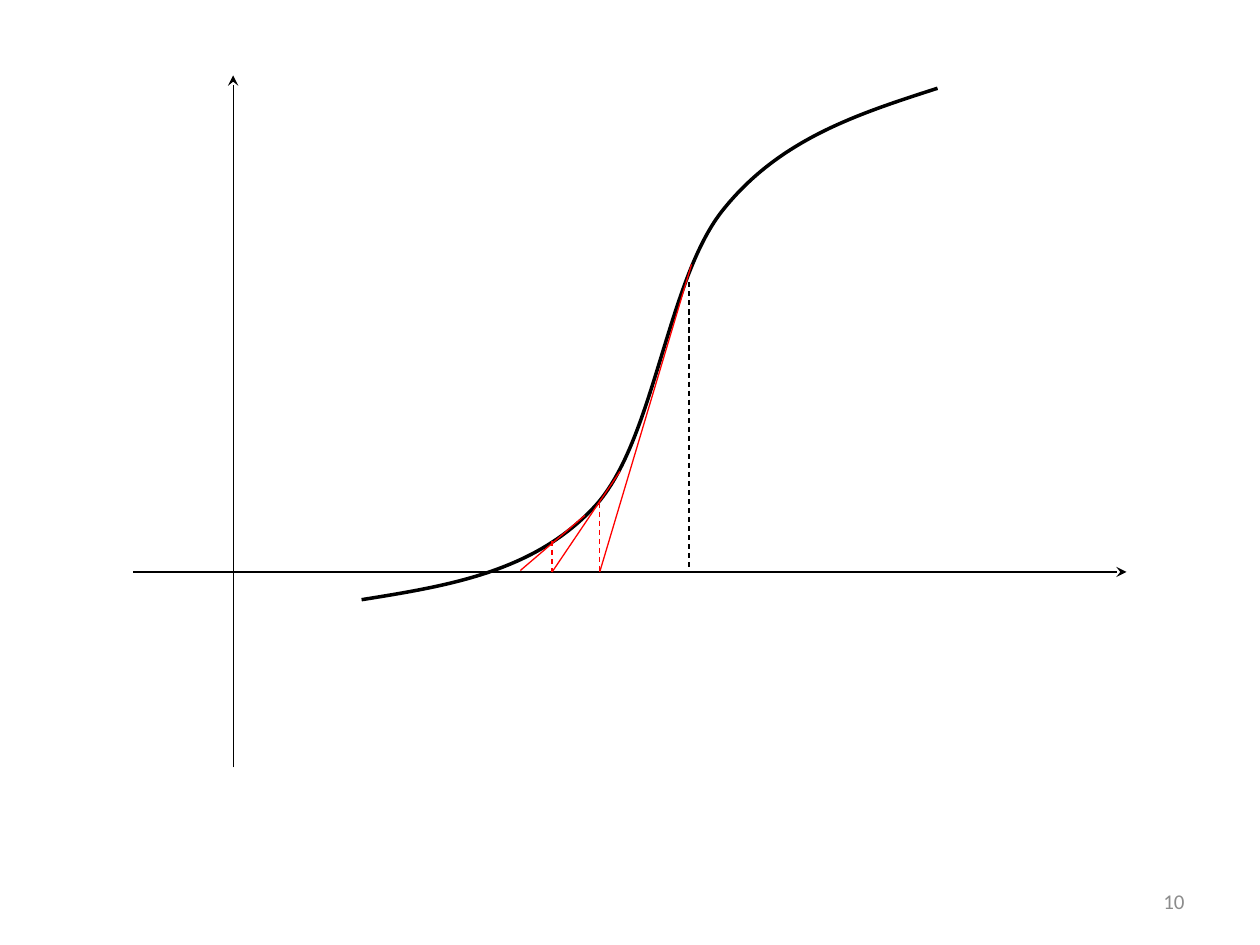
from dataclasses import dataclass

from lxml import etree
from pptx import Presentation
from pptx import util as u
from pptx.dml.color import RGBColor
from pptx.enum import dml, shapes, text
from pptx.oxml import ns


@dataclass
class Theme:
    ink: RGBColor = RGBColor(0x00, 0x00, 0x00)
    tangent: RGBColor = RGBColor(0xFF, 0x00, 0x00)
    muted: RGBColor = RGBColor(0x8C, 0x8C, 0x8C)
    font: str = "Calibri"
    number_size: u.Pt = u.Pt(12)
    thin: u.Pt = u.Pt(0.75)
    thick: u.Pt = u.Pt(2)


theme = Theme()
prs = Presentation()
prs.slide_width, prs.slide_height = u.Cm(25.4), u.Cm(19.05)
slide = prs.slides.add_slide(prs.slide_layouts[6])


def draw_line(start, end, color, dashed=False, arrow=False):
    """Draw a thin straight line between two points given in centimetres."""
    segment = slide.shapes.add_connector(
        shapes.MSO_CONNECTOR.STRAIGHT, *[u.Cm(v) for v in start + end])
    segment.line.color.rgb = color
    segment.line.width = theme.thin
    if dashed:
        segment.line.dash_style = dml.MSO_LINE.DASH
    if arrow:
        etree.SubElement(segment.line._get_or_add_ln(),
                         ns.qn("a:tailEnd"), type="stealth")
    etree.SubElement(segment._element.spPr, ns.qn("a:effectLst"))


# Page number
page_number = slide.shapes.add_textbox(u.Cm(18.2), u.Cm(17.66), u.Cm(5.93), u.Cm(1.01))
frame = page_number.text_frame
frame.word_wrap = True
frame.vertical_anchor = text.MSO_ANCHOR.MIDDLE
frame.paragraphs[0].alignment = text.PP_ALIGN.RIGHT
run = frame.paragraphs[0].add_run()
run.text = "10"
run.font.name = theme.font
run.font.size = theme.number_size
run.font.color.rgb = theme.muted

# Axes, and the starting guess dropped to the x axis
axis_y = 11.53
draw_line((2.69, axis_y), (22.71, axis_y), theme.ink, arrow=True)
draw_line((4.7, 15.47), (4.7, 1.52), theme.ink, arrow=True)
draw_line((13.89, 5.69), (13.89, axis_y), theme.ink, dashed=True)

# Function curve: a start point, then three Bezier points per segment
curve_points = [
    (7.29, 12.09),
    (9.04, 11.81), (10.77, 11.53), (11.99, 10.21),
    (13.21, 8.89), (13.44, 5.59), (14.61, 4.19),
    (15.75, 2.79), (17.32, 2.29), (18.9, 1.78),
]
start, *controls = [(u.Cm(x), u.Cm(y)) for x, y in curve_points]
builder = slide.shapes.build_freeform(*start)
builder.add_line_segments(controls, close=False)
curve = builder.convert_to_shape()
curve.shadow.inherit = False
curve.fill.background()
curve.line.color.rgb = theme.ink
curve.line.width = theme.thick

# Join every three straight steps into one cubic segment
steps = list(curve._element.iter(ns.qn("a:lnTo")))
for first in range(0, len(steps), 3):
    cubic = etree.SubElement(steps[first].getparent(), ns.qn("a:cubicBezTo"))
    for step in steps[first:first + 3]:
        cubic.append(step[0])
        step.getparent().remove(step)

# Newton steps: each tangent meets the axis, where the next guess rises
root_1, root_2 = 12.09, 11.13
for start, end, dashed in [
    ((13.94, 5.33), (root_1, axis_y), False),
    ((12.5, 9.5), (root_2, axis_y), False),
    ((root_1, 10.13), (root_1, 11.58), True),
    ((root_2, 10.9), (root_2, axis_y), True),
    ((11.79, 10.39), (10.49, 11.5), False),
]:
    draw_line(start, end, theme.tangent, dashed=dashed)

prs.save("out.pptx")
